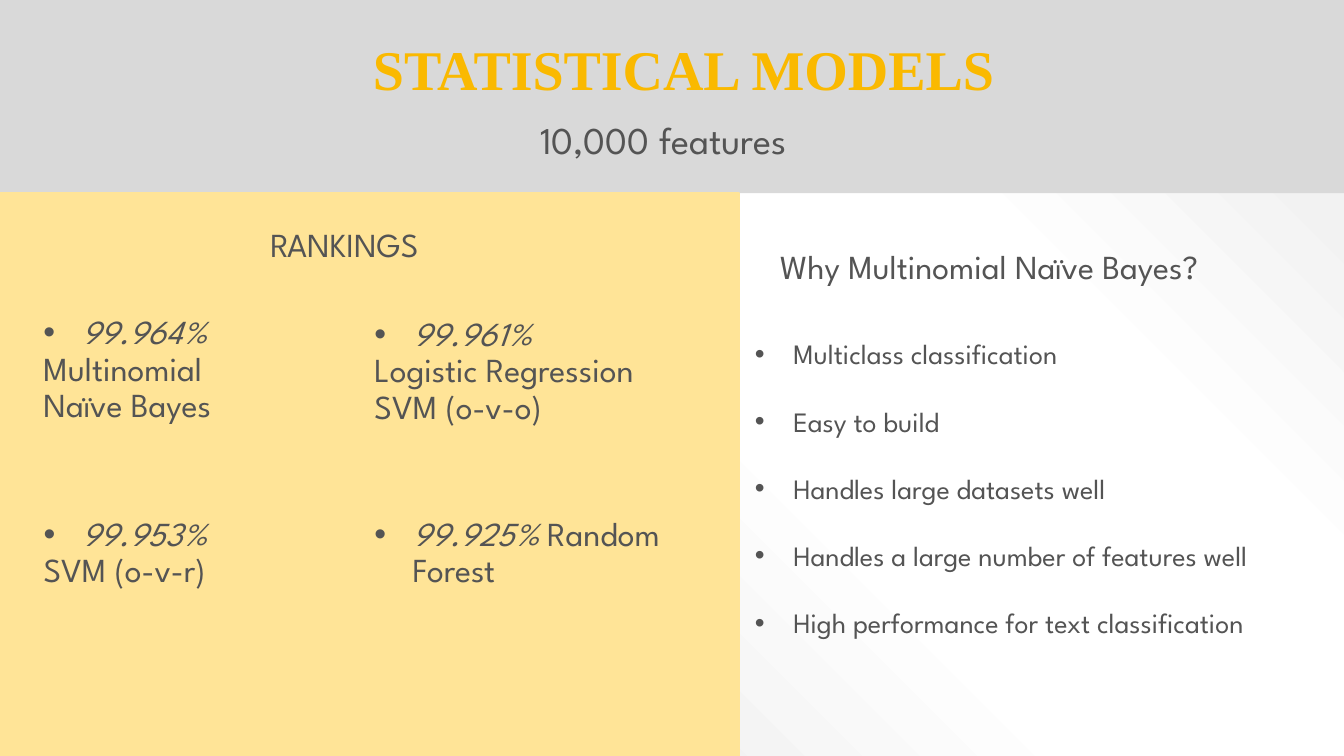
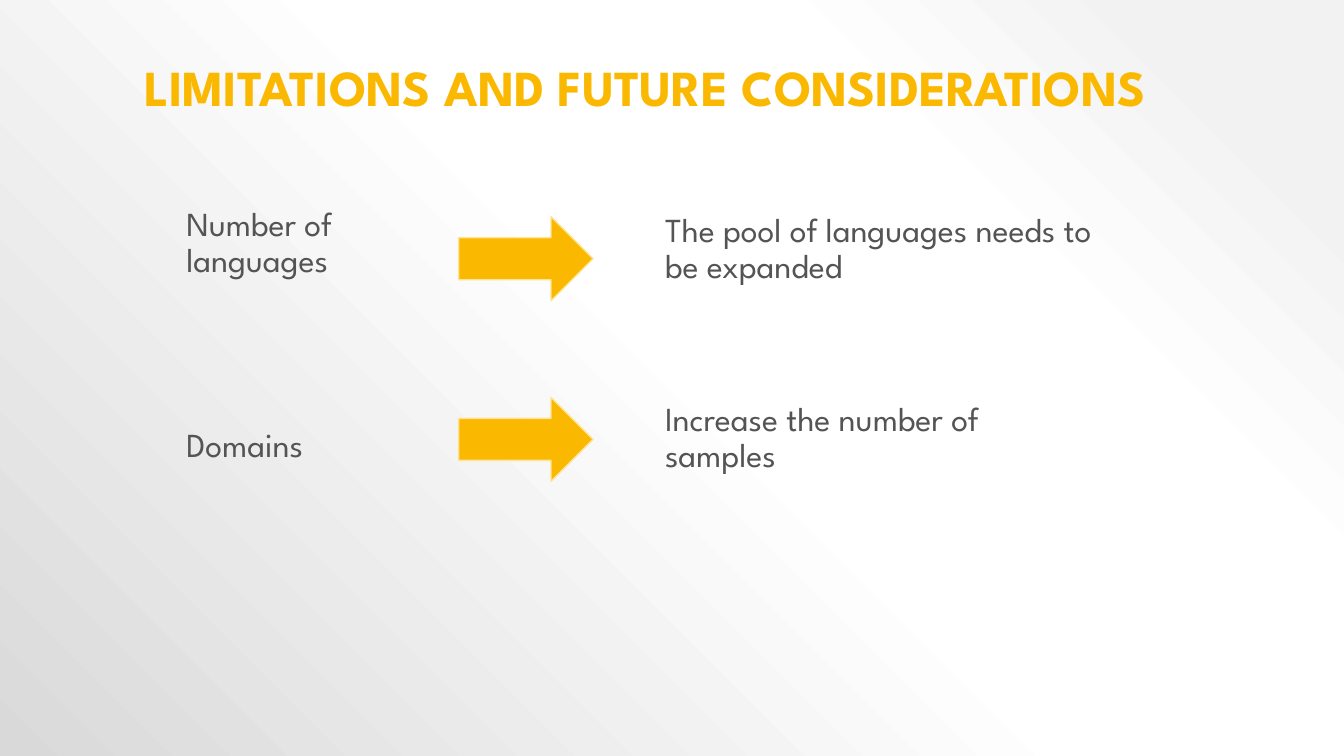
"""Build two slides on statistical models and the limits of the study."""
from dataclasses import dataclass

from lxml import etree
from pptx import Presentation
from pptx.dml.color import RGBColor
from pptx.enum.shapes import MSO_SHAPE
from pptx.enum.text import MSO_ANCHOR, MSO_AUTO_SIZE, PP_ALIGN
from pptx.oxml import parse_xml
from pptx.oxml.ns import nsdecls, qn
from pptx.presentation import Presentation as Deck
from pptx.shapes.autoshape import Shape
from pptx.slide import Slide
from pptx.text.text import TextFrame
from pptx.util import Emu, Inches, Pt

RECTANGLE, RIGHT_ARROW = MSO_SHAPE.RECTANGLE, MSO_SHAPE.RIGHT_ARROW
BOTTOM, LEFT = MSO_ANCHOR.BOTTOM, PP_ALIGN.LEFT
FIXED, GROW = MSO_AUTO_SIZE.NONE, MSO_AUTO_SIZE.SHAPE_TO_FIT_TEXT

GOLD = RGBColor(0xFA, 0xB9, 0x00)
PALE_GOLD = RGBColor(0xFF, 0xE4, 0x97)
BAND_GREY = RGBColor(0xD9, 0xD9, 0xD9)
TEXT_GREY = RGBColor(0x54, 0x54, 0x54)
BACKDROP_STOPS = ((10, "F2F2F2"), (28, "FFFFFF"), (48, "FFFFFF"), (100, "D9D9D9"))

SANS, SERIF = "League Spartan", "Times New Roman"
COLUMNS, ROWS = 160, 90
CELL = Inches(1) // 12
BULLET_INDENT = 0.38


@dataclass(frozen=True)
class Area:
    """Hold a rectangle in grid columns and rows."""

    column: float
    row: float
    columns: float
    rows: float

    def emu(self) -> tuple[Emu, ...]:
        """Return left, top, width and height."""
        return tuple(
            Emu(round(cells * CELL))
            for cells in (self.column, self.row, self.columns, self.rows)
        )


@dataclass(frozen=True)
class Ranking:
    """Hold one accuracy and the models that reach it."""

    area: Area
    accuracy: str
    models: tuple[str, ...] = ()
    beside: str = ""


@dataclass(frozen=True)
class Consideration:
    """Hold a limitation, its arrow and the planned response."""

    limitation: str
    limitation_area: Area
    arrow_area: Area
    response: tuple[str, ...]
    response_area: Area


RANKINGS = (
    Ranking(Area(43.4, 37.2, 45, 14.3), "99.961%", ("Logistic Regression", "SVM (o-v-o)")),
    Ranking(Area(4, 37, 31, 14.3), "99.964%", ("Multinomial Naïve Bayes",)),
    Ranking(Area(4, 61, 28, 10), "99.953%", ("SVM (o-v-r)",)),
    Ranking(Area(43.4, 61, 36.5, 10), "99.925% ", beside="Random Forest"),
)
REASONS = (
    "Multiclass classification",
    "Easy to build",
    "Handles large datasets well",
    "Handles a large number of features well",
    "High performance for text classification",
)
CONSIDERATIONS = (
    Consideration(
        "Number of languages", Area(21, 24.1, 32, 10), Area(54.6, 25.8, 16, 10),
        ("The pool of languages needs to be expanded",), Area(78, 24.8, 54, 10),
    ),
    Consideration(
        "Domains", Area(21, 50.4, 32, 5.5), Area(54.6, 47.3, 16, 10),
        ("Increase the number of", "samples"), Area(78, 47.3, 54, 10),
    ),
)


def write(
    frame: TextFrame,
    text: str,
    *,
    lead: str = "",
    size: float = 24,
    font: str = SANS,
    color: RGBColor = TEXT_GREY,
    bold: bool = False,
    bullet: bool = False,
    margin: float = 0,
    spacing: float = 0.9,
    before: float = 0,
) -> None:
    """Add a paragraph, with an optional italic lead before its text."""
    paragraph = frame.paragraphs[0]
    if paragraph.runs:
        paragraph = frame.add_paragraph()
    paragraph.alignment = LEFT
    paragraph.line_spacing = spacing
    paragraph.space_before = Pt(before)
    properties = paragraph._p.get_or_add_pPr()
    indent = BULLET_INDENT if bullet else 0
    properties.set("marL", str(Inches(margin + indent)))
    properties.set("indent", str(-Inches(indent)))
    if bullet:
        etree.SubElement(properties, qn("a:buFont"), typeface="Arial")
        etree.SubElement(properties, qn("a:buChar"), char="•")
    for part, italic in ((lead, True), (text, False)):
        if part:
            run = paragraph.add_run()
            run.text = part
            run.font.name, run.font.size = font, Pt(size)
            run.font.bold, run.font.italic = bold, italic
            run.font.color.rgb = color


def add_text_area(slide: Slide, area: Area) -> TextFrame:
    """Add a wrapping text box and return its frame."""
    frame = slide.shapes.add_textbox(*area.emu()).text_frame
    frame.word_wrap = True
    frame.auto_size = GROW
    return frame


def add_block(slide: Slide, kind: MSO_SHAPE, area: Area, fill: RGBColor) -> None:
    """Add a filled shape with the pale gold outline."""
    block: Shape = slide.shapes.add_shape(kind, *area.emu())
    block.shadow.inherit = False
    block.fill.solid()
    block.fill.fore_color.rgb = fill
    block.line.color.rgb = PALE_GOLD
    block.line.width = Pt(1)


def add_titled_slide(
    deck: Deck, title: str, area: Area, *, bottom: float, **style
) -> Slide:
    """Add a title-only slide with its title at the bottom of an area."""
    slide = deck.slides.add_slide(deck.slide_layouts[5])
    heading = slide.shapes.title
    heading.left, heading.top, heading.width, heading.height = area.emu()
    frame = heading.text_frame
    frame.word_wrap = True
    frame.auto_size = FIXED
    frame.vertical_anchor = BOTTOM
    frame.margin_bottom = Inches(bottom)
    write(frame, title, color=GOLD, bold=True, **style)
    return slide


def set_backdrop(deck: Deck) -> None:
    """Give the master a gradient that darkens away from the top right."""
    master = deck.slide_master
    master.background.fill.solid()
    stops = "".join(
        f'<a:gs pos="{share * 1000}"><a:srgbClr val="{color}"/></a:gs>'
        for share, color in BACKDROP_STOPS
    )
    gradient = parse_xml(
        f'<a:gradFill {nsdecls("a")} rotWithShape="1"><a:gsLst>{stops}</a:gsLst>'
        '<a:path path="circle"><a:fillToRect l="100000" b="100000"/></a:path>'
        "</a:gradFill>"
    )
    backdrop = master.element.find(f".//{qn('p:bgPr')}")
    backdrop.replace(backdrop[0], gradient)


def add_models_slide(deck: Deck) -> None:
    """Add the rankings and the reasons for the best model."""
    slide = add_titled_slide(
        deck, "STATISTICAL MODELS", Area(0, 0, COLUMNS, 23),
        bottom=0.3, size=40, font=SERIF, margin=3.6,
    )
    band = slide.shapes.title
    band.fill.solid()
    band.fill.fore_color.rgb = BAND_GREY
    write(band.text_frame, "10,000 features", size=27, margin=5.26, before=14)
    add_block(slide, RECTANGLE, Area(0, 23, 88, ROWS - 23), PALE_GOLD)

    reasons = add_text_area(slide, Area(88.7, 21.5, 72, 64.4))
    write(reasons, "Why Multinomial Naïve Bayes?", margin=0.25, spacing=2.5)
    for position, reason in enumerate(REASONS):
        write(reasons, reason, size=20, bullet=True, spacing=2 if position else 2.5)

    write(add_text_area(slide, Area(31, 26.6, 47, 5.5)), "RANKINGS")
    for ranking in RANKINGS:
        frame = add_text_area(slide, ranking.area)
        write(frame, ranking.beside, lead=ranking.accuracy, bullet=True)
        for model in ranking.models:
            write(frame, model)


def add_limitations_slide(deck: Deck) -> None:
    """Add each limitation with an arrow to its response."""
    slide = add_titled_slide(
        deck, "LIMITATIONS AND FUTURE CONSIDERATIONS", Area(16, 3.6, 128, 17.4),
        bottom=0.58, size=36,
    )
    for item in CONSIDERATIONS:
        write(add_text_area(slide, item.limitation_area), item.limitation)
        add_block(slide, RIGHT_ARROW, item.arrow_area, GOLD)
        response = add_text_area(slide, item.response_area)
        for line in item.response:
            write(response, line)


def main() -> None:
    """Build and save the slides."""
    deck = Presentation()
    deck.slide_width, deck.slide_height = Emu(COLUMNS * CELL), Emu(ROWS * CELL)
    set_backdrop(deck)
    add_models_slide(deck)
    add_limitations_slide(deck)
    deck.save("out.pptx")


if __name__ == "__main__":
    main()
